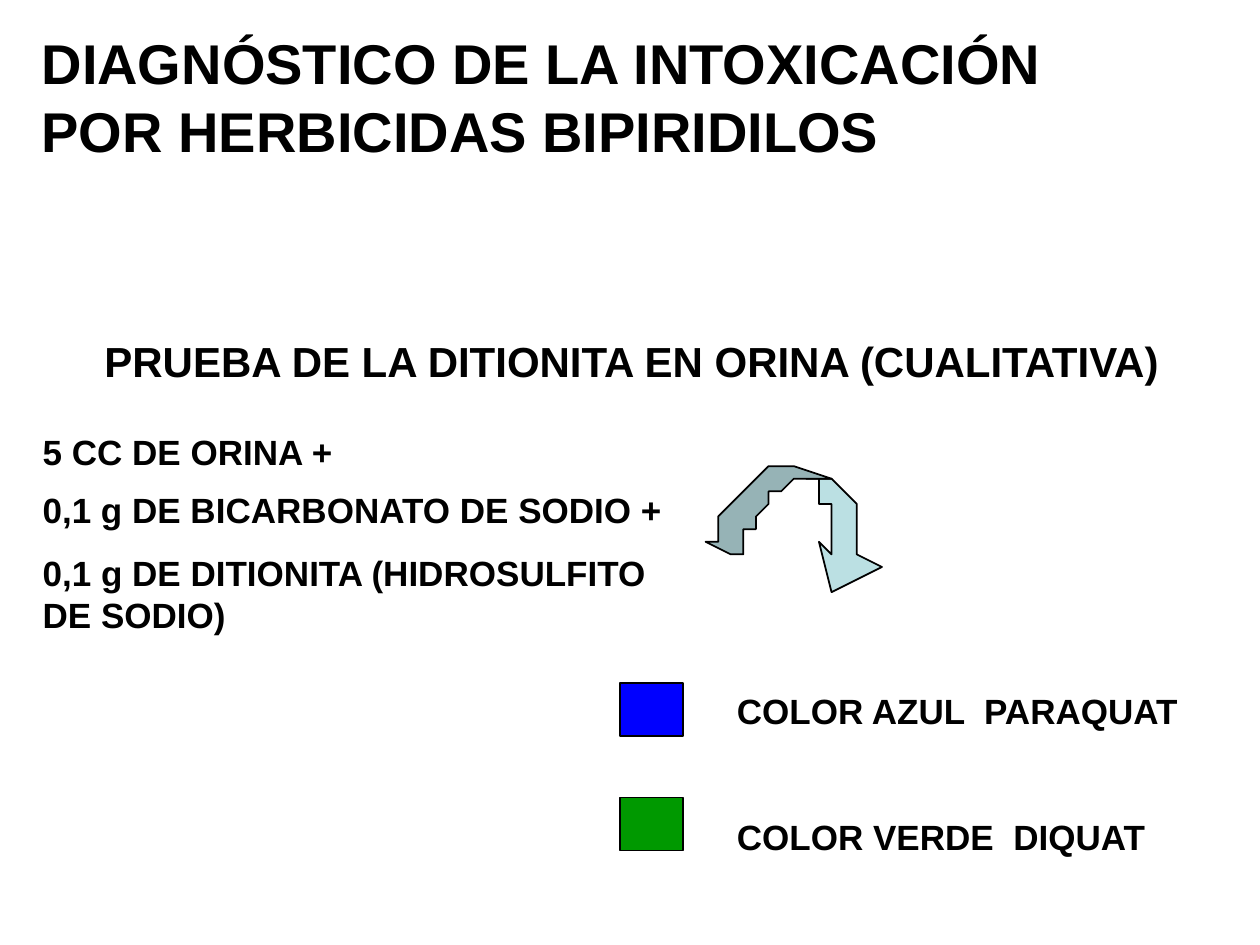
from pptx import Presentation
from pptx.dml.color import RGBColor
from pptx.enum.text import MSO_ANCHOR as Anchor, MSO_AUTO_SIZE as AutoSize, PP_ALIGN as Align
from pptx.enum.shapes import MSO_SHAPE as Shape
from pptx.util import Inches, Pt

COLUMNS, ROWS = 100, 75
CELL = Inches(0.1)
BLACK = "000000"
TITLE = ["DIAGNÓSTICO DE LA INTOXICACIÓN", "POR HERBICIDAS BIPIRIDILOS"]
LABELS = [
    (["PRUEBA DE LA DITIONITA EN ORINA (CUALITATIVA)"], 7.3, 26.1, 87.2, 24),
    (["5 CC DE ORINA +"], 2.4, 33.7, 25.1, 20),
    (["0,1 g DE BICARBONATO DE SODIO +"], 2.4, 38.3, 51.4, 20),
    (["0,1 g DE DITIONITA (HIDROSULFITO", "DE SODIO)"], 2.4, 43.3, 50.2, 20),
    (["COLOR AZUL  PARAQUAT"], 57.5, 54.2, 37.5, 20),
    (["COLOR VERDE  DIQUAT"], 57.5, 64.2, 34.6, 20),
]
SWATCHES = [("0000FF", 54.2), ("009900", 63.3)]
ARROW_HEAD = ("BBE0E3", [
    [(64.5, 38)],
    [(65.1, 37.8), (65.5, 37.9), (65.9, 38.1)],
    [(67.5, 38.6), (68.8, 40.9), (68.4, 44.5)],
    [(69.6, 44.9)], [(66.5, 46.7)], [(64.6, 43.3)], [(65.8, 43.7)],
    [(66.2, 41), (65.5, 39), (64.5, 38)],
])
ARROW_TAIL = ("96B3B6", [
    [(56.4, 43.3)],
    [(57.8, 39.1), (61, 36.4), (63.4, 37.2)],
    [(65.9, 38.1)],
    [(65.6, 38), (65.4, 37.9), (65.1, 37.9)],
    [(64.5, 38)],
    [(62.2, 37.9), (59.6, 40.5), (58.4, 44.2)],
])


def color(value):
    """Return a colour from its hex string."""
    return RGBColor.from_string(value)


def assign(target, values):
    """Set every attribute named in a dict of format values."""
    for name, value in values.items():
        setattr(target, name, value)


def place(shape, column, row, width, height):
    """Put a shape on the slide grid."""
    names = ("left", "top", "width", "height")
    assign(shape, {name: round(cells * CELL)
                   for name, cells in zip(names, (column, row, width, height))})


def write(box, lines, column, row, width, size):
    """Fill a text shape with bold lines and size it to their number."""
    frame = box.text_frame
    frame.text = "\n".join(lines)
    assign(frame, {
        "word_wrap": False, "auto_size": AutoSize.SHAPE_TO_FIT_TEXT,
        "vertical_anchor": Anchor.TOP,
    })
    for para in frame.paragraphs:
        assign(para, {"alignment": Align.LEFT, "line_spacing": 1.0})
        assign(para.font, {"name": "Arial", "size": Pt(size), "bold": True})
        para.font.color.rgb = color(BLACK)
    line_height = size * 1.2 / 72 * 10
    place(box, column, row, width, len(lines) * line_height + 1)


def paint(shape, fill):
    """Give a shape a solid fill and a thin black outline."""
    shape.shadow.inherit = False
    shape.fill.solid()
    shape.fill.fore_color.rgb = color(fill)
    shape.line.color.rgb = color(BLACK)
    shape.line.width = Pt(1)


def add_swatch(page, fill, row):
    """Add one coloured result square."""
    swatch = page.shapes.add_shape(Shape.RECTANGLE, 0, 0, 0, 0)
    place(swatch, 49.2, row, 5, 4.2)
    paint(swatch, fill)


def bezier(start, first, second, end, steps=16):
    """Return points along a cubic curve, without its start."""
    points = []
    for step in range(1, steps + 1):
        t = step / steps
        weights = ((1 - t) ** 3, 3 * t * (1 - t) ** 2, 3 * t ** 2 * (1 - t), t ** 3)
        points.append(tuple(sum(w * p[axis] for w, p in zip(weights, (start, first, second, end)))
                            for axis in (0, 1)))
    return points


def add_curved(page, fill, segments):
    """Add a closed outline of straight and curved segments."""
    points = list(segments[0])
    for segment in segments[1:]:
        points += bezier(points[-1], *segment) if len(segment) == 3 else segment
    builder = page.shapes.build_freeform(*points[0], scale=CELL)
    builder.add_line_segments(points[1:], close=True)
    paint(builder.convert_to_shape(), fill)


def main():
    """Build the slide and save it."""
    deck = Presentation()
    assign(deck, {"slide_width": COLUMNS * CELL, "slide_height": ROWS * CELL})
    page = deck.slides.add_slide(deck.slide_layouts[5])
    write(page.shapes.title, TITLE, 2.3, 1.8, 81.6, 32)
    for label in LABELS:
        write(page.shapes.add_textbox(0, 0, 0, 0), *label)
    for swatch in SWATCHES:
        add_swatch(page, *swatch)
    for part in (ARROW_HEAD, ARROW_TAIL):
        add_curved(page, *part)
    deck.save("out.pptx")


if __name__ == "__main__":
    main()
